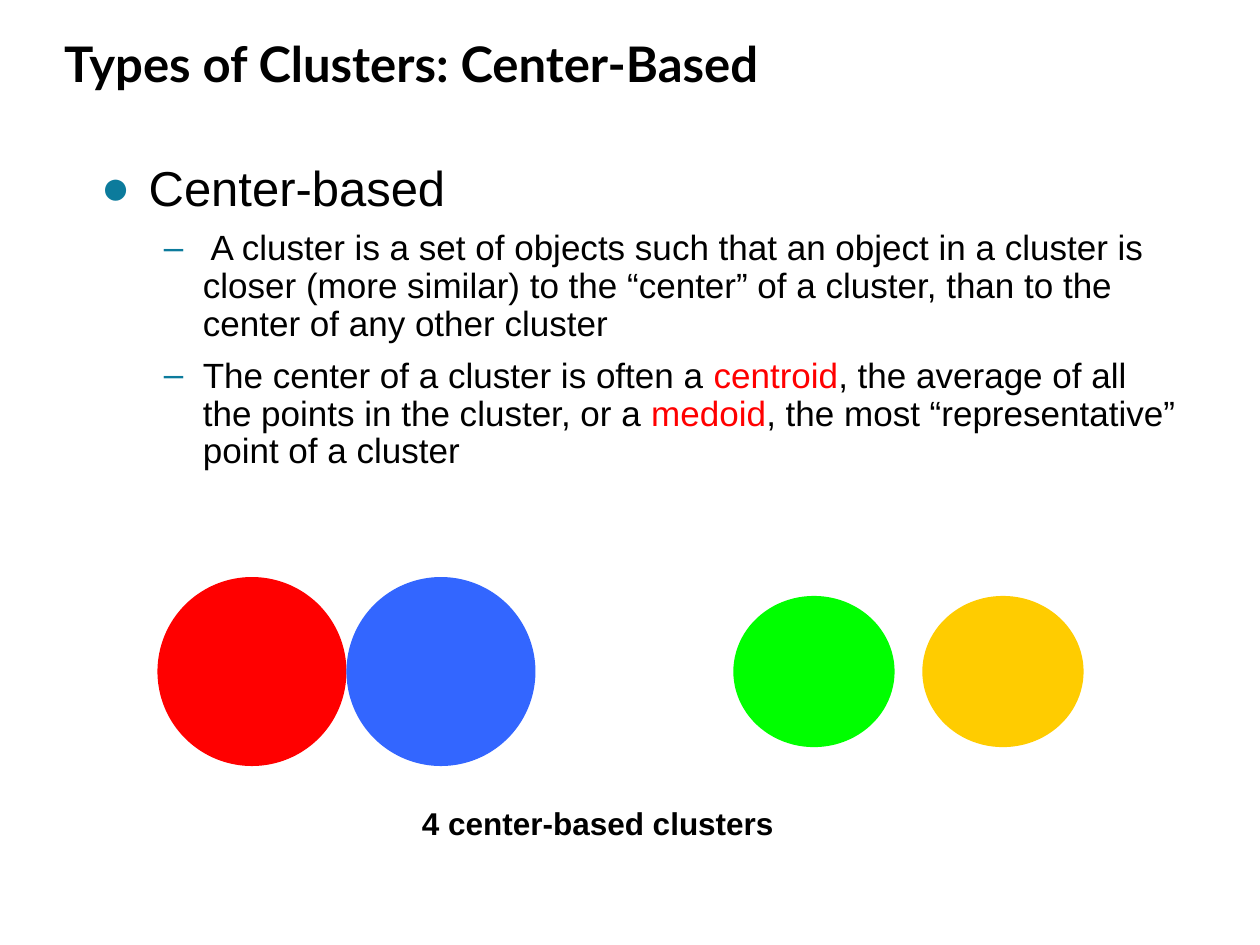
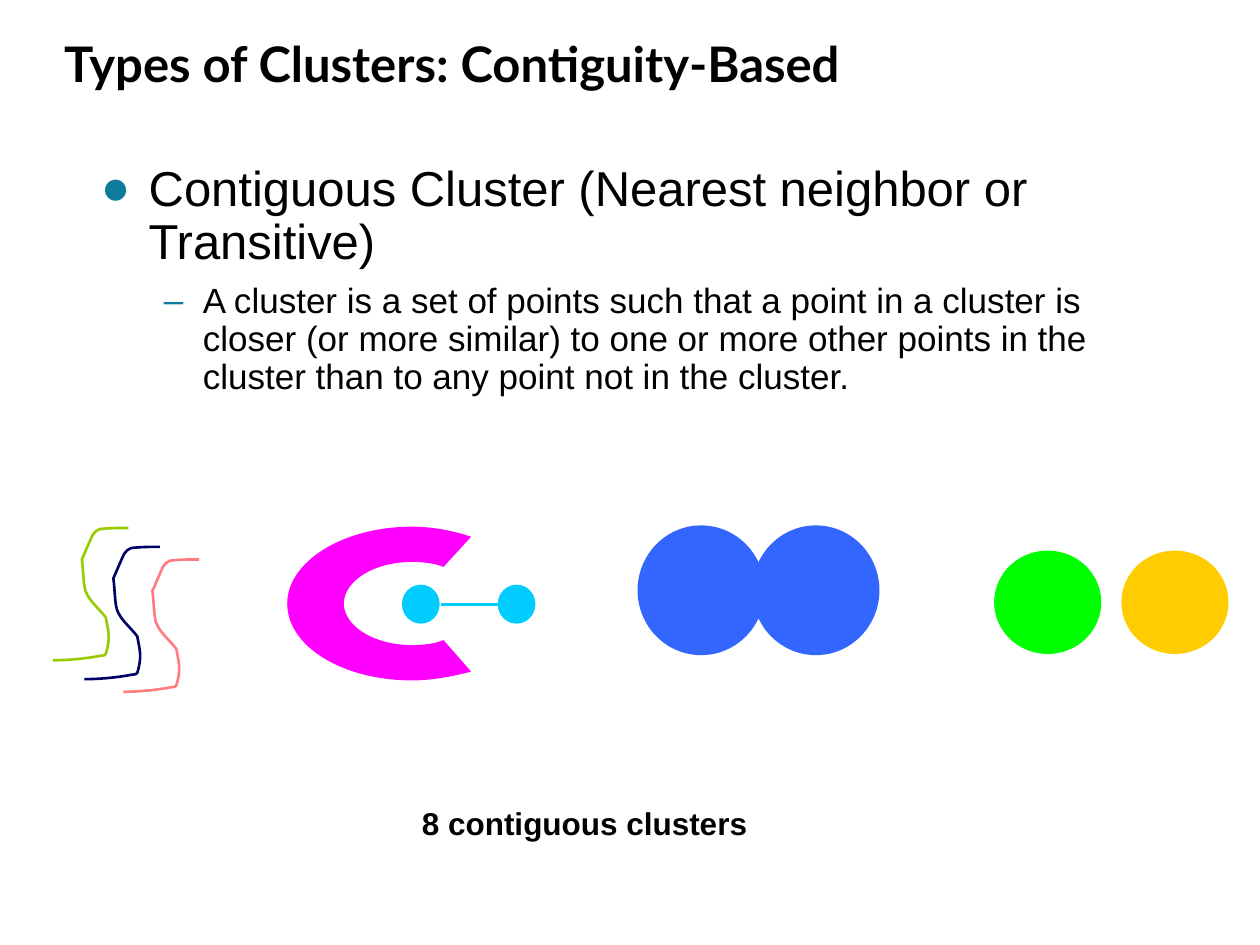
from lxml import etree
from pptx import Presentation
from pptx.dml.color import RGBColor
from pptx.enum import shapes, text
from pptx.oxml.ns import qn
from pptx.util import Inches, Pt

COLORS = {
    "ink": "000000", "bullet": "0C7B9C", "term": "FF0000",
    "red": "FF0000", "blue": "3366FF", "green": "00FF00", "gold": "FFCC00",
    "lime": "99CC00", "navy": "000066", "salmon": "FF7C80",
    "cyan": "00CCFF", "magenta": "FF00FF",
}
# Bullet sign, size, left indent, hanging indent and space before, by level
LEVELS = [("●", 28, 0.38, -0.38, 0), ("–", 20, 0.81, -0.31, 8)]

# Outlines: a start point, then segments of one point (line) or three (curve)
S_CURVE = [
    ((1.02, 4.19),),
    ((0.94, 4.19), (0.86, 4.19), (0.79, 4.20)),
    ((0.77, 4.21), (0.75, 4.22), (0.74, 4.24)),
    ((0.73, 4.25), (0.66, 4.42), (0.65, 4.44)),
    ((0.66, 4.51), (0.66, 4.58), (0.67, 4.65)),
    ((0.68, 4.75), (0.78, 4.82), (0.84, 4.90)),
    ((0.86, 5.01), (0.88, 5.06), (0.84, 5.19)),
    ((0.83, 5.21), (0.79, 5.20), (0.77, 5.21)),
    ((0.65, 5.23), (0.53, 5.24), (0.42, 5.24)),
]
OPEN_RING = [
    ((3.52, 5.08),),
    ((3.45, 5.11), (3.36, 5.12), (3.27, 5.12)),
    ((2.97, 5.12), (2.73, 4.97), (2.73, 4.79)),
    ((2.73, 4.61), (2.97, 4.46), (3.27, 4.46)),
    ((3.36, 4.46), (3.45, 4.47), (3.52, 4.50)),
    ((3.74, 4.26),),
    ((3.59, 4.21), (3.43, 4.18), (3.27, 4.18)),
    ((2.72, 4.18), (2.28, 4.46), (2.28, 4.79)),
    ((2.28, 5.13), (2.72, 5.40), (3.27, 5.40)),
    ((3.43, 5.40), (3.59, 5.37), (3.74, 5.33)),
]


def rgb(name):
    return RGBColor.from_string(COLORS[name])


def add_text(paragraph, words, size=20, font="Arial", color="ink", bold=False):
    run = paragraph.add_run()
    run.text = words
    run.font.size, run.font.name, run.font.bold = Pt(size), font, bold
    run.font.color.rgb = rgb(color)


def place(shape, left, top, width, height):
    shape.left, shape.top = Inches(left), Inches(top)
    shape.width, shape.height = Inches(width), Inches(height)


def set_bullet(paragraph, sign, left, hanging):
    props = paragraph._p.get_or_add_pPr()
    props.set("marL", str(Inches(left)))
    props.set("indent", str(Inches(hanging)))
    tint = etree.SubElement(props, qn("a:buClr"))
    etree.SubElement(tint, qn("a:srgbClr"), val=COLORS["bullet"])
    etree.SubElement(props, qn("a:buFont"), typeface="Arial")
    etree.SubElement(props, qn("a:buChar"), char=sign)


def add_title(slide, words):
    title = slide.shapes.title
    place(title, 0.41, 0.18, 9.06, 0.6)
    frame = title.text_frame
    frame.auto_size = text.MSO_AUTO_SIZE.NONE
    frame.vertical_anchor = text.MSO_ANCHOR.BOTTOM
    heading = frame.paragraphs[0]
    heading.alignment = text.PP_ALIGN.LEFT
    heading.line_spacing = 1.29
    add_text(heading, words, size=28, font="Lato", bold=True)


def add_points(slide, points):
    """Each point is a level and its pieces; every second piece is a key term."""
    body = slide.placeholders[1]
    place(body, 0.7, 1.25, 8.75, 5.59)
    frame = body.text_frame
    frame.auto_size = text.MSO_AUTO_SIZE.NONE
    for number, (level, *pieces) in enumerate(points):
        point = frame.add_paragraph() if number else frame.paragraphs[0]
        sign, size, left, hanging, before = LEVELS[level]
        point.level = level
        point.line_spacing, point.space_before = 0.9, Pt(before)
        set_bullet(point, sign, left, hanging)
        for order, piece in enumerate(pieces):
            add_text(point, piece, size=size, color="term" if order % 2 else "ink")


def add_caption(slide, words):
    caption = slide.shapes.add_textbox(Inches(3.25), Inches(6.33), Inches(3.5), Inches(0.4))
    caption.text_frame.word_wrap = True
    add_text(caption.text_frame.paragraphs[0], words, size=18, bold=True)


def fill_plain(shape, color):
    shape.shadow.inherit = False
    shape.fill.solid()
    shape.fill.fore_color.rgb = rgb(color)
    shape.line.fill.background()


def add_cluster(slide, color, left, top, width, height):
    cluster = slide.shapes.add_shape(
        shapes.MSO_SHAPE.OVAL, Inches(left), Inches(top), Inches(width), Inches(height))
    fill_plain(cluster, color)


def add_outline(slide, segments, dx=0, dy=0, close=False):
    """Build the outline through all points, then join triples into curves."""
    first, *rest = [(Inches(x + dx), Inches(y + dy)) for part in segments for x, y in part]
    builder = slide.shapes.build_freeform(*first)
    builder.add_line_segments(rest, close=close)
    outline = builder.convert_to_shape()
    steps = iter(list(outline._element.iter(qn("a:lnTo"))))
    for part in segments[1:]:
        lines = [next(steps) for _ in part]
        if len(lines) == 3:
            curve = etree.Element(qn("a:cubicBezTo"))
            lines[0].addprevious(curve)
            for line in lines:
                curve.append(line[0])
                line.getparent().remove(line)
    return outline


def add_s_curve(slide, color, dx, dy):
    curve = add_outline(slide, S_CURVE, dx, dy)
    curve.shadow.inherit = False
    curve.fill.background()
    curve.line.color.rgb, curve.line.width = rgb(color), Pt(1.5)


def add_bridge(slide, color, x1, x2, y):
    bridge = slide.shapes.add_connector(
        shapes.MSO_CONNECTOR.STRAIGHT, Inches(x1), Inches(y), Inches(x2), Inches(y))
    bridge.line.color.rgb, bridge.line.width = rgb(color), Pt(1.5)
    etree.SubElement(bridge._element.spPr, qn("a:effectLst"))


def add_slide(deck, title, points, caption):
    slide = deck.slides.add_slide(deck.slide_layouts[1])
    add_title(slide, title)
    add_points(slide, points)
    add_caption(slide, caption)
    return slide


def main():
    deck = Presentation()
    deck.slide_width, deck.slide_height = Inches(10), Inches(7.5)

    # Center-based clusters
    center = add_slide(deck, "Types of Clusters: Center-Based", [
        (0, "Center-based"),
        (1, " A cluster is a set of objects such that an object in a cluster is closer "
            "(more similar) to the “center” of a cluster, than to the center of any "
            "other cluster"),
        (1, "The center of a cluster is often a ", "centroid",
            ", the average of all the points in the cluster, or a ", "medoid",
            ", the most “representative” point of a cluster"),
    ], "4 center-based clusters")
    for color, left in (("red", 1.25), ("blue", 2.75)):
        add_cluster(center, color, left, 4.58, 1.5, 1.5)
    for color, left in (("green", 5.82), ("gold", 7.32)):
        add_cluster(center, color, left, 4.73, 1.28, 1.2)

    # Contiguous clusters
    contiguous = add_slide(deck, "Types of Clusters: Contiguity-Based", [
        (0, "Contiguous Cluster (Nearest neighbor or Transitive)"),
        (1, "A cluster is a set of points such that a point in a cluster is closer "
            "(or more similar) to one or more other points in the cluster than to any "
            "point not in the cluster."),
    ], "8 contiguous clusters")
    for color, dx, dy in (("lime", 0, 0), ("navy", 0.25, 0.15), ("salmon", 0.56, 0.25)):
        add_s_curve(contiguous, color, dx, dy)

    # Open ring and the two bridged dots
    fill_plain(add_outline(contiguous, OPEN_RING, close=True), "magenta")
    for left in (3.19, 3.95):
        add_cluster(contiguous, "cyan", left, 4.64, 0.3, 0.31)
    add_bridge(contiguous, "cyan", 3.5, 3.95, 4.8)

    # Touching pair and separate pair
    for left in (5.06, 5.97):
        add_cluster(contiguous, "blue", left, 4.17, 1.01, 1.03)
    for color, left in (("green", 7.89), ("gold", 8.9)):
        add_cluster(contiguous, color, left, 4.37, 0.85, 0.82)

    deck.save("out.pptx")


if __name__ == "__main__":
    main()
